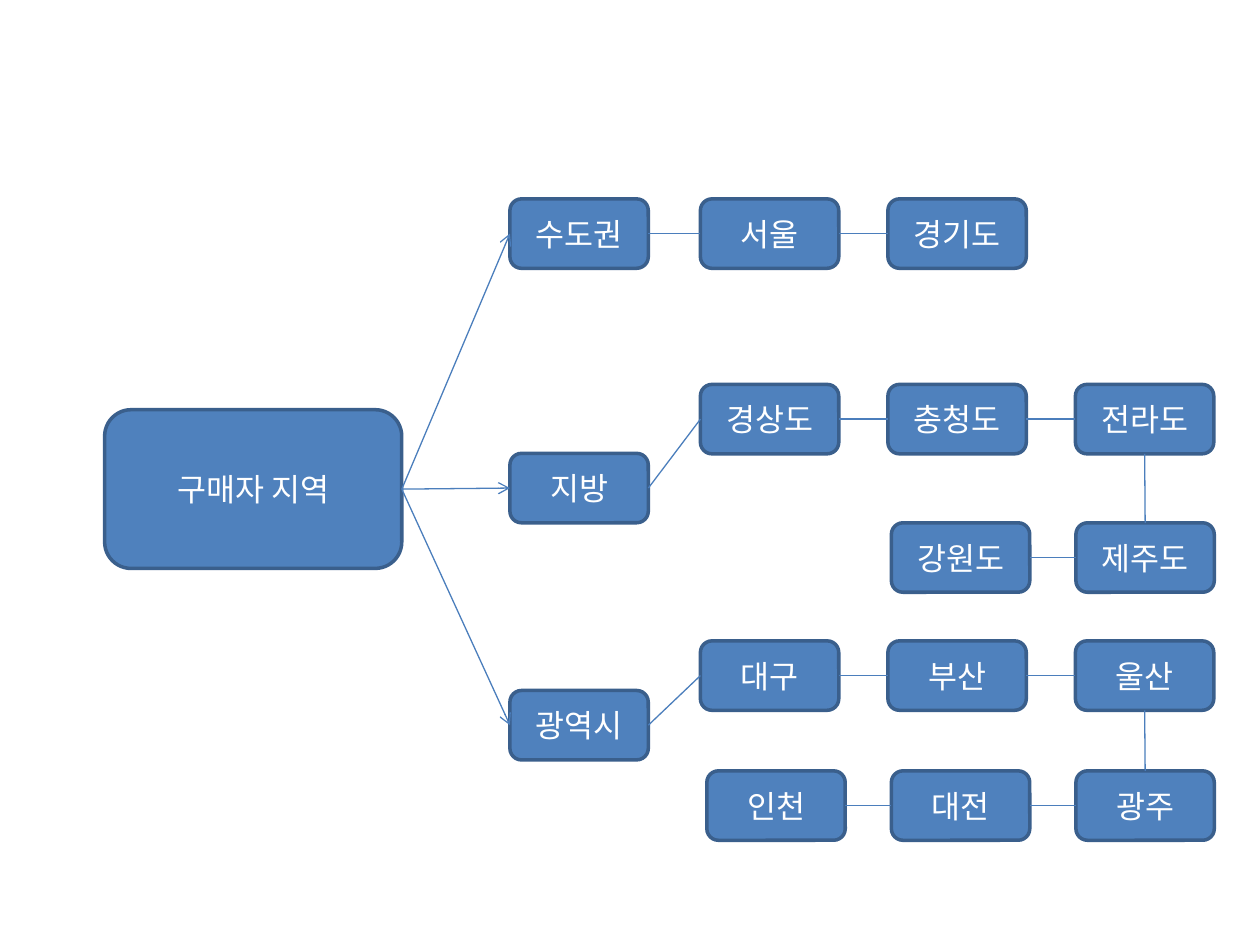
from dataclasses import dataclass
from itertools import pairwise

from lxml.etree import SubElement
from pptx import Presentation
from pptx.dml.color import RGBColor as RGB
from pptx.enum.shapes import MSO_CONNECTOR as Link, MSO_SHAPE as Preset
from pptx.enum.text import MSO_ANCHOR as Anchor, PP_ALIGN as Align
from pptx.oxml.ns import qn
from pptx.util import Cm, Pt

TOP, LEFT, BOTTOM, RIGHT = range(4)


@dataclass(frozen=True)
class Theme:
    fill: RGB = RGB(0x4F, 0x81, 0xBD)
    border: RGB = RGB(0x3A, 0x5F, 0x8C)
    link: RGB = RGB(0x4B, 0x7E, 0xBC)
    text: RGB = RGB(0xFF, 0xFF, 0xFF)
    font: str = "Noto Sans CJK KR"
    size: Pt = Pt(18)
    border_width: Pt = Pt(2)
    link_width: Pt = Pt(0.75)


def apply(target, formats):
    for name, value in formats.items():
        setattr(target, name, value)


class RegionMap:
    def __init__(self, theme, slide):
        self.theme = theme
        self.slide = slide

    def box(self, label, left, top, width=2.79, height=1.4):
        theme = self.theme
        node = self.slide.shapes.add_shape(
            Preset.ROUNDED_RECTANGLE, Cm(left), Cm(top), Cm(width), Cm(height))
        node.shadow.inherit = False
        node.fill.solid()
        node.fill.fore_color.rgb = theme.fill
        node.line.color.rgb = theme.border
        node.line.width = theme.border_width
        apply(node.text_frame, {"vertical_anchor": Anchor.MIDDLE, "word_wrap": True})
        paragraph = node.text_frame.paragraphs[0]
        paragraph.alignment = Align.CENTER
        run = paragraph.add_run()
        run.text = label
        apply(run.font, {"name": theme.font, "size": theme.size})
        run.font.color.rgb = theme.text
        SubElement(run._r.get_or_add_rPr(), qn("a:ea"), typeface=theme.font)
        return node

    def link(self, start, end, start_side=RIGHT, end_side=LEFT, arrow=False):
        line = self.slide.shapes.add_connector(Link.STRAIGHT, 0, 0, 0, 0)
        line.begin_connect(start, start_side)
        line.end_connect(end, end_side)
        line.line.color.rgb = self.theme.link
        line.line.width = self.theme.link_width
        if arrow:
            SubElement(line.line._get_or_add_ln(), qn("a:tailEnd"), type="arrow")
        SubElement(line._element.spPr, qn("a:effectLst"))


def main():
    deck = Presentation()
    apply(deck, {"slide_width": Cm(25.4), "slide_height": Cm(19.05)})
    chart = RegionMap(Theme(), deck.slides.add_slide(deck.slide_layouts[6]))

    group_left = 10.28
    outward_left, outward_step = 14.12, 3.78
    return_left, return_step = 21.69, 3.72
    groups = [
        ("수도권", 4.01, 4.01, ["서울", "경기도"], None, []),
        ("지방", 9.14, 7.75, ["경상도", "충청도", "전라도"], 10.54, ["제주도", "강원도"]),
        ("광역시", 13.92, 12.92, ["대구", "부산", "울산"], 15.54, ["광주", "대전", "인천"]),
    ]

    buyer_region = chart.box("구매자 지역", 2.11, 8.26, 5.99, 3.2)
    branches = []
    for name, group_top, outward_top, outward, return_top, returning in groups:
        group = chart.box(name, group_left, group_top)
        first_row = [chart.box(region, outward_left + i * outward_step, outward_top)
                     for i, region in enumerate(outward)]
        second_row = [chart.box(region, return_left - i * return_step, return_top)
                      for i, region in enumerate(returning)]
        branches.append((group, first_row, second_row))

    for group, first_row, second_row in branches:
        chart.link(buyer_region, group, arrow=True)
        for near, far in pairwise([group, *first_row]):
            chart.link(near, far)
        if second_row:
            chart.link(first_row[-1], second_row[0], BOTTOM, TOP)
        for right, left in pairwise(second_row):
            chart.link(left, right)

    deck.save("out.pptx")


if __name__ == "__main__":
    main()
